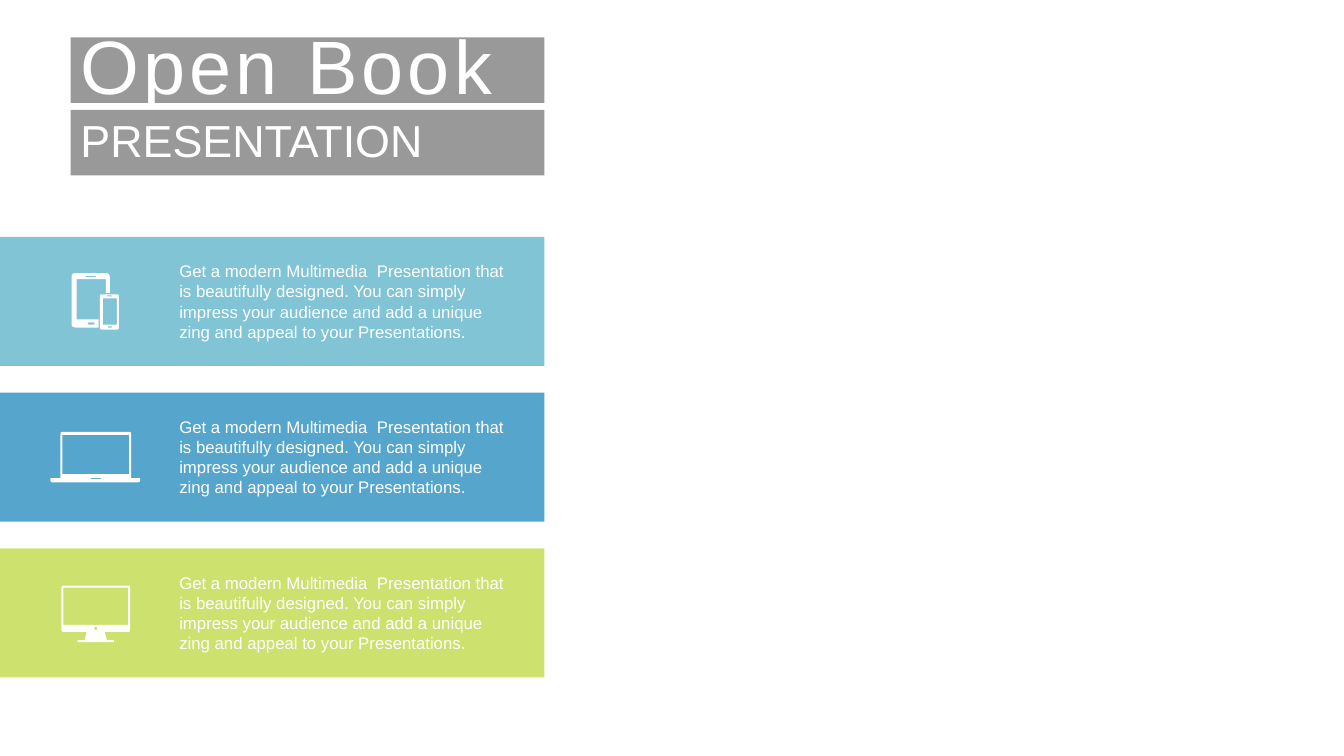
from lxml.etree import SubElement
from pptx import Presentation
from pptx.dml.color import RGBColor
from pptx.enum.shapes import MSO_SHAPE as Preset
from pptx.enum.text import MSO_ANCHOR as Anchor, MSO_AUTO_SIZE as AutoSize, PP_ALIGN as Align
from pptx.oxml.ns import qn
from pptx.util import Inches, Pt

WHITE = "FFFFFF"
COPY = ("Get a modern Multimedia  Presentation that is beautifully designed. You can simply "
        "impress your audience and add a unique zing and appeal to your Presentations.")
RIGHT_EDGE = 5.4
TITLE_LEFT, TITLE_TOP, TITLE_HEIGHT, TITLE_PITCH = 0.7, 0.37, 0.65, 0.72
BAND_TOP, BAND_HEIGHT, BAND_PITCH = 2.35, 1.28, 1.545


def paint(shape, color, opacity=100):
    """Give a shape a solid fill without outline or shadow."""
    shape.shadow.inherit = False
    shape.line.fill.background()
    shape.fill.solid()
    shape.fill.fore_color.rgb = RGBColor.from_string(color)
    if opacity < 100:
        tint = shape.fill._xPr.find(qn("a:solidFill"))[0]
        SubElement(tint, qn("a:alpha")).set("val", str(opacity * 1000))


def write(shape, text, size, align=None, anchor=Anchor.TOP, line=None, before=None, tracking=0):
    """Set the text of a shape and its format."""
    frame = shape.text_frame
    frame.word_wrap = True
    frame.vertical_anchor = anchor
    paragraph = frame.paragraphs[0]
    paragraph.alignment = align
    paragraph.line_spacing = line
    paragraph.space_before = before
    run = paragraph.add_run()
    run.text = text
    run.font.name = "Arial"
    run.font.size = Pt(size)
    run.font.color.rgb = RGBColor.from_string(WHITE)
    if tracking:
        run._r.get_or_add_rPr().set("spc", str(tracking * 100))


def panel(slide, box, color, opacity):
    """Add a translucent rectangle."""
    shape = slide.shapes.add_shape(Preset.RECTANGLE, *map(Inches, box))
    paint(shape, color, opacity)
    return shape


def block(left, top, right, bottom, radius=0):
    """Return the corners of a rectangle, each with a radius."""
    return [(x, y, radius) for x, y in
            ((left, top), (right, top), (right, bottom), (left, bottom))]


def rounded(corners, steps=5):
    """Turn corners with radii into the points of a closed outline."""
    points = []
    for i, (x, y, radius) in enumerate(corners):
        if not radius:
            points.append((x, y))
            continue
        ends = []
        for nx, ny, _ in (corners[i - 1], corners[(i + 1) % len(corners)]):
            share = radius / ((nx - x) ** 2 + (ny - y) ** 2) ** 0.5
            ends.append(((nx - x) * share, (ny - y) * share))
        (ax, ay), (bx, by) = ends
        for step in range(steps + 1):
            t = step / steps
            points.append((x + ax * (1 - t) ** 2 + bx * t ** 2,
                           y + ay * (1 - t) ** 2 + by * t ** 2))
    return points


def icon(slide, left, top, outlines):
    """Draw outlines as one white shape, with inner ones as holes."""
    builder = None
    for corners in outlines:
        points = [(Inches(left + x), Inches(top + y)) for x, y in rounded(corners)]
        if builder is None:
            builder = slide.shapes.build_freeform(*points[0])
        else:
            builder.move_to(*points[0])
        builder.add_line_segments(points[1:], close=True)
    paint(builder.convert_to_shape(), WHITE)


MOBILE = [
    [(0.71, 0.36, 0.04), (1.09, 0.36, 0.04), (1.09, 0.56, 0), (1.05, 0.56, 0),
     (1.05, 0.42, 0), (0.76, 0.42, 0), (0.76, 0.82, 0), (0.98, 0.82, 0),
     (0.98, 0.9, 0), (0.71, 0.9, 0.04)],
    block(0.85, 0.387, 0.95, 0.4),
    block(0.87, 0.85, 0.94, 0.87, 0.01),
    block(0.99, 0.57, 1.18, 0.92, 0.02),
    block(1.02, 0.61, 1.16, 0.87),
    block(1.06, 0.58, 1.11, 0.59),
    block(1.07, 0.89, 1.11, 0.9),
]
LAPTOP = [
    [(0.6, 0.39, 0.02), (1.3, 0.39, 0.02), (1.3, 0.85, 0), (1.39, 0.85, 0),
     (1.39, 0.89, 0.02), (0.5, 0.89, 0.02), (0.5, 0.85, 0), (0.6, 0.85, 0)],
    block(0.62, 0.42, 1.28, 0.81),
    block(0.9, 0.85, 1, 0.86),
]
MONITOR = [
    [(0.61, 0.37, 0.02), (1.29, 0.37, 0.02), (1.29, 0.83, 0.02), (1.04, 0.83, 0),
     (1.06, 0.91, 0), (1.13, 0.91, 0), (1.13, 0.93, 0), (0.77, 0.93, 0),
     (0.77, 0.91, 0), (0.84, 0.91, 0), (0.86, 0.83, 0), (0.61, 0.83, 0.02)],
    block(0.63, 0.39, 1.27, 0.76),
    block(0.935, 0.78, 0.965, 0.81, 0.015),
]
BANDS = [("4BACC6", MOBILE), ("0E7FB7", LAPTOP), ("B9D533", MONITOR)]
TITLES = [("Open Book", 54, 3), ("PRESENTATION", 32, 0)]


def feature_band(slide, box, color, outlines):
    """Place a coloured band with its icon and copy."""
    left, top, width, height = box
    panel(slide, box, color, 70)
    icon(slide, left, top, outlines)
    copy_box = (left + 1.68, top + 0.19, 3.43, height - 0.37)
    blurb = slide.shapes.add_textbox(*map(Inches, copy_box))
    write(blurb, COPY, 12)
    blurb.text_frame.auto_size = AutoSize.SHAPE_TO_FIT_TEXT


def title_bar(slide, box, text, size, tracking):
    """Place one grey line of the title."""
    write(panel(slide, box, "000000", 40), text, size, align=Align.JUSTIFY,
          anchor=Anchor.MIDDLE, line=0.9, before=Pt(10), tracking=tracking)


def main():
    """Build and save the slide."""
    deck = Presentation()
    deck.slide_width, deck.slide_height = Inches(13.33), Inches(7.5)
    slide = deck.slides.add_slide(deck.slide_layouts[6])
    for row, (color, outlines) in enumerate(BANDS):
        box = (0, BAND_TOP + row * BAND_PITCH, RIGHT_EDGE, BAND_HEIGHT)
        feature_band(slide, box, color, outlines)
    for row, title in enumerate(TITLES):
        box = (TITLE_LEFT, TITLE_TOP + row * TITLE_PITCH, RIGHT_EDGE - TITLE_LEFT, TITLE_HEIGHT)
        title_bar(slide, box, *title)
    deck.save("out.pptx")


if __name__ == "__main__":
    main()
